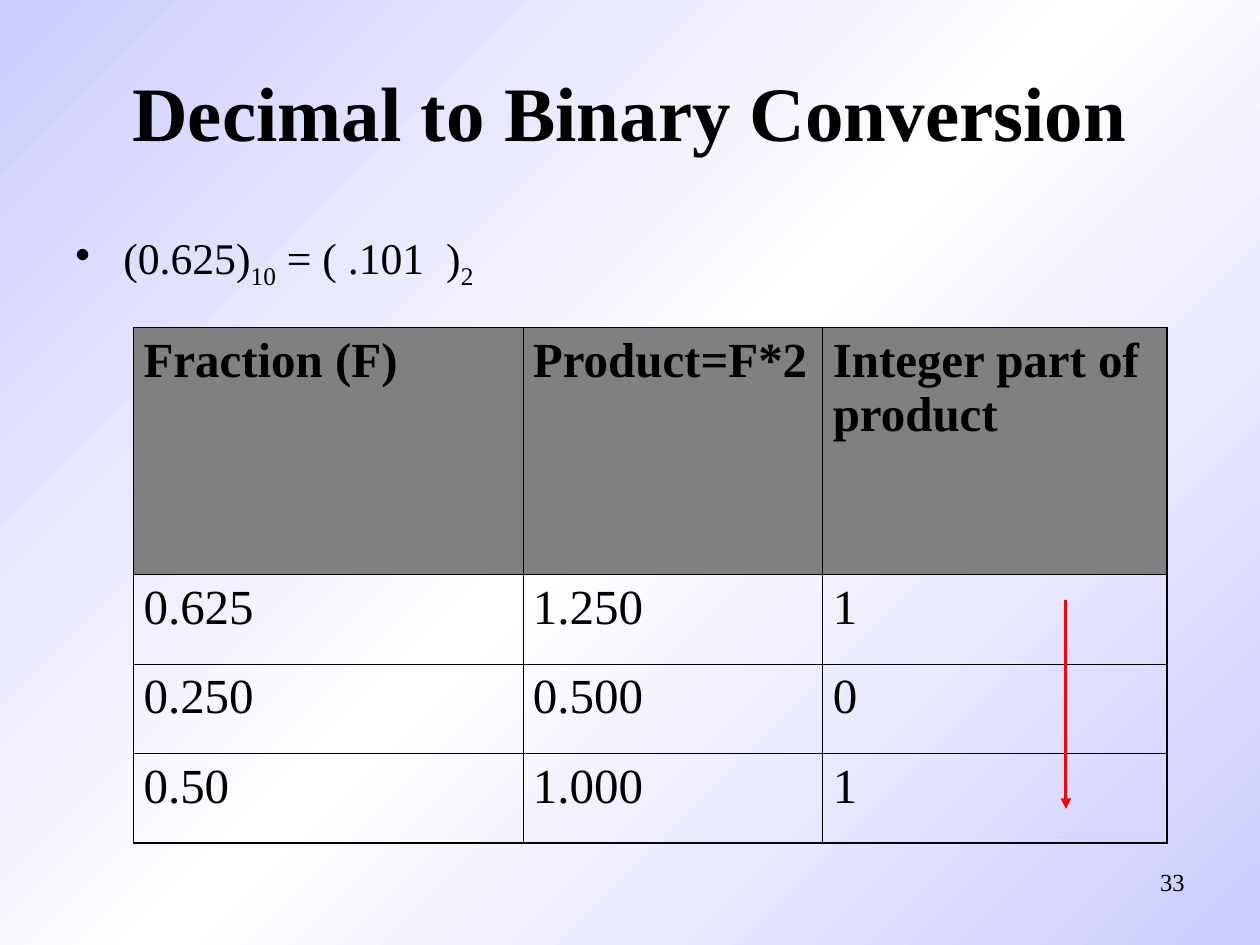
from lxml import etree
from pptx import Presentation, util as u
from pptx.dml.color import RGBColor
from pptx.enum import shapes, text
from pptx.oxml import parse_xml
from pptx.oxml.ns import nsdecls, qn

FONT = "Times New Roman"
BLACK = "000000"
HEADERS = ["Fraction (F)", "Product=F*2", "Integer part of product"]
STEPS = [["0.625", "1.250", "1"], ["0.250", "0.500", "0"], ["0.50", "1.000", "1"]]
COLUMNS = [3.09, 2.38, 2.73]
ROWS = [1.96, 0.71, 0.71, 0.71]
THICK, THIN = 1.08, 0.45


def color(value):
    return RGBColor.from_string(value)


def set_background(s):
    stops = "".join(
        f'<a:gs pos="{pos}"><a:srgbClr val="{value}"/></a:gs>'
        for pos, value in [(0, "CCCCFF"), (50000, "FFFFFF"), (100000, "CCCCFF")]
    )
    bg = parse_xml(
        f'<p:bg {nsdecls("p", "a")}><p:bgPr><a:gradFill rotWithShape="0">'
        f'<a:gsLst>{stops}</a:gsLst><a:lin ang="2700000" scaled="0"/>'
        "</a:gradFill><a:effectLst/></p:bgPr></p:bg>"
    )
    s.element.cSld.insert(0, bg)


def add_run(p, words, size, bold=False):
    r = p.add_run()
    r.text = words
    r.font.name = FONT
    r.font.size = u.Pt(size)
    r.font.bold = bold
    r.font.color.rgb = color(BLACK)
    return r


def add_text_box(s, left, top, width, height, align=text.PP_ALIGN.LEFT):
    tf = s.shapes.add_textbox(*map(u.Inches, (left, top, width, height))).text_frame
    tf.word_wrap = True
    p = tf.paragraphs[0]
    p.alignment = align
    return tf, p


def add_equation(s):
    tf, p = add_text_box(s, 0.5, 1.75, 4.42, 4.92)
    tf.margin_top = u.Inches(0.08)
    pPr = p._p.get_or_add_pPr()
    pPr.set("marL", str(u.Inches(0.38)))
    pPr.set("indent", str(u.Inches(-0.38)))
    etree.SubElement(pPr, qn("a:buChar")).set("char", "•")
    for words, subscript in [("(0.625)", False), ("10", True), (" = ( .101  )", False), ("2", True)]:
        r = add_run(p, words, 25)
        if subscript:
            r.font._element.set("baseline", "-25000")


def set_border(cell, side, width):
    cell._tc.get_or_add_tcPr().append(parse_xml(
        f'<a:ln{side} {nsdecls("a")} w="{u.Pt(width)}"><a:solidFill>'
        f'<a:srgbClr val="{BLACK}"/></a:solidFill></a:ln{side}>'
    ))


def fill_cell(cell, words, header, outer_sides):
    cell.margin_left = cell.margin_right = u.Inches(0.08)
    cell.margin_top = cell.margin_bottom = u.Inches(0.05)
    add_run(cell.text_frame.paragraphs[0], words, 28, header)
    for side in "LRTB":
        set_border(cell, side, THICK if side in outer_sides else THIN)
    if header:
        cell.fill.solid()
        cell.fill.fore_color.rgb = color("808080")
    else:
        cell.fill.background()


def add_conversion_table(s):
    data = [HEADERS] + STEPS
    size = map(u.Inches, (1.06, 2.6, sum(COLUMNS), sum(ROWS)))
    table = s.shapes.add_table(len(ROWS), len(COLUMNS), *size).table
    table.first_row = table.horz_banding = False
    for column, width in zip(table.columns, COLUMNS):
        column.width = u.Inches(width)
    for i, (row, height) in enumerate(zip(table.rows, ROWS)):
        row.height = u.Inches(height)
        for j, words in enumerate(data[i]):
            edges = {"T": i == 0, "B": i == len(ROWS) - 1, "L": j == 0, "R": j == len(COLUMNS) - 1}
            outer_sides = [side for side, outer in edges.items() if outer]
            fill_cell(table.cell(i, j), words, i == 0, outer_sides)


def add_arrow(s, x, top, bottom):
    sp = s.shapes.add_connector(
        shapes.MSO_CONNECTOR.STRAIGHT, *map(u.Inches, (x, top, x, bottom))
    )
    sp.line.color.rgb = color("FF0000")
    sp.line.width = u.Pt(1.75)
    etree.SubElement(sp.line._get_or_add_ln(), qn("a:tailEnd")).set("type", "triangle")
    etree.SubElement(sp._element.spPr, qn("a:effectLst"))


def main():
    prs = Presentation()
    prs.slide_width, prs.slide_height = u.Inches(10), u.Inches(7.5)
    s = prs.slides.add_slide(prs.slide_layouts[6])
    set_background(s)
    tf, p = add_text_box(s, 0.5, 0.25, 9, 1.25, text.PP_ALIGN.CENTER)
    tf.vertical_anchor = text.MSO_ANCHOR.MIDDLE
    add_run(p, "Decimal to Binary Conversion", 44, True)
    add_equation(s)
    add_conversion_table(s)
    tf, p = add_text_box(s, 7.17, 6.83, 2.33, 0.5, text.PP_ALIGN.RIGHT)
    add_run(p, "33", 14)
    add_arrow(s, 8.46, 4.76, 6.42)
    prs.save("out.pptx")


if __name__ == "__main__":
    main()
